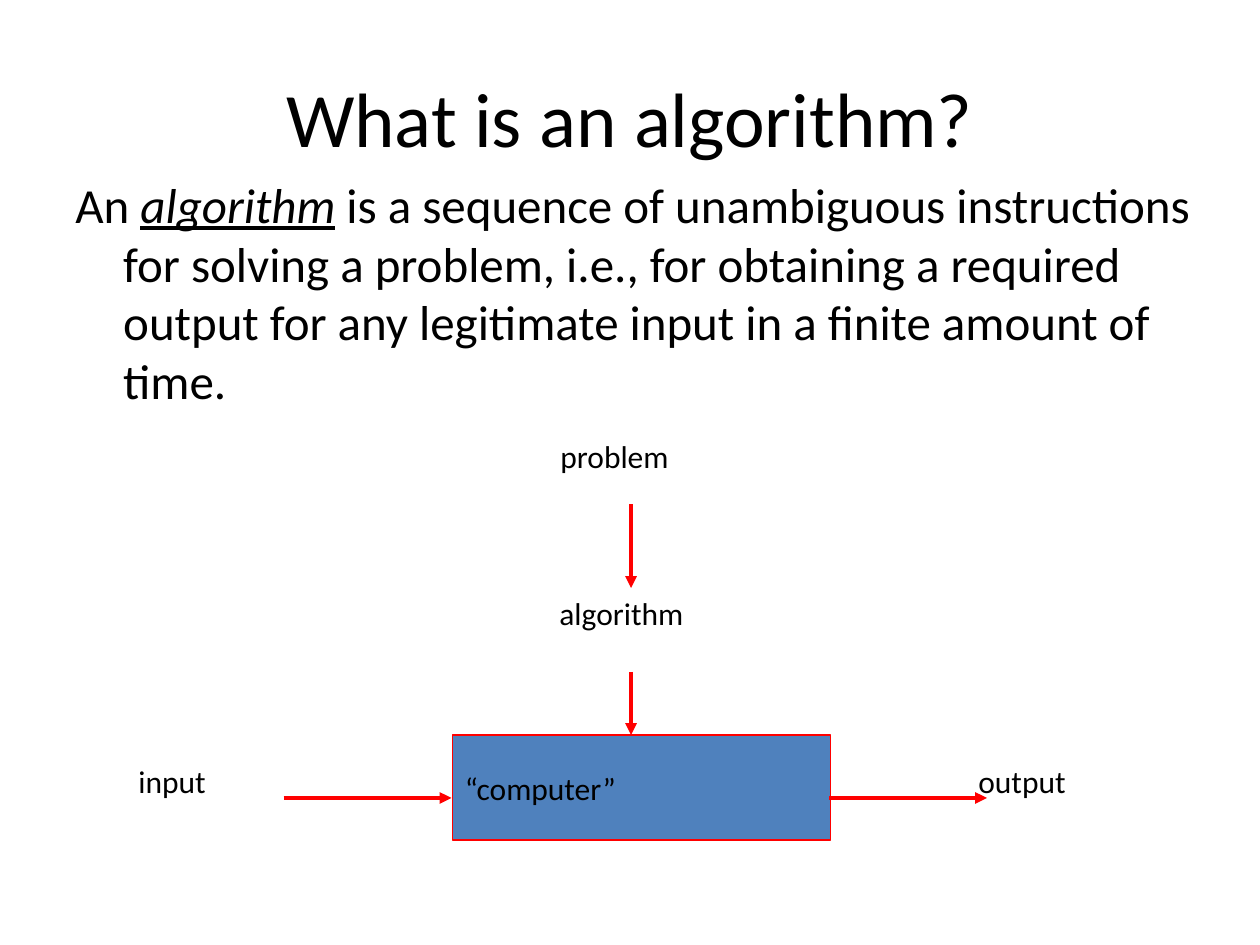
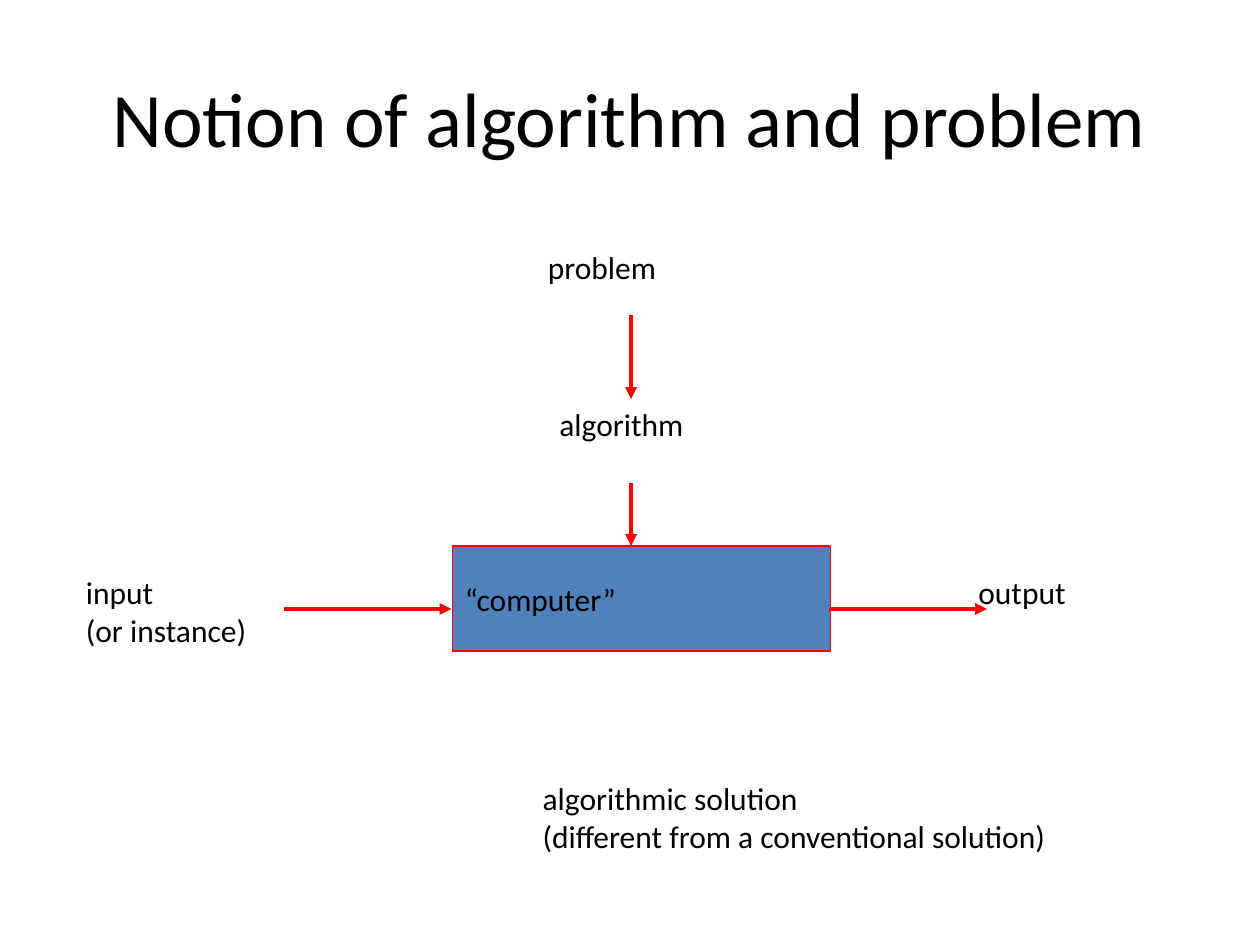
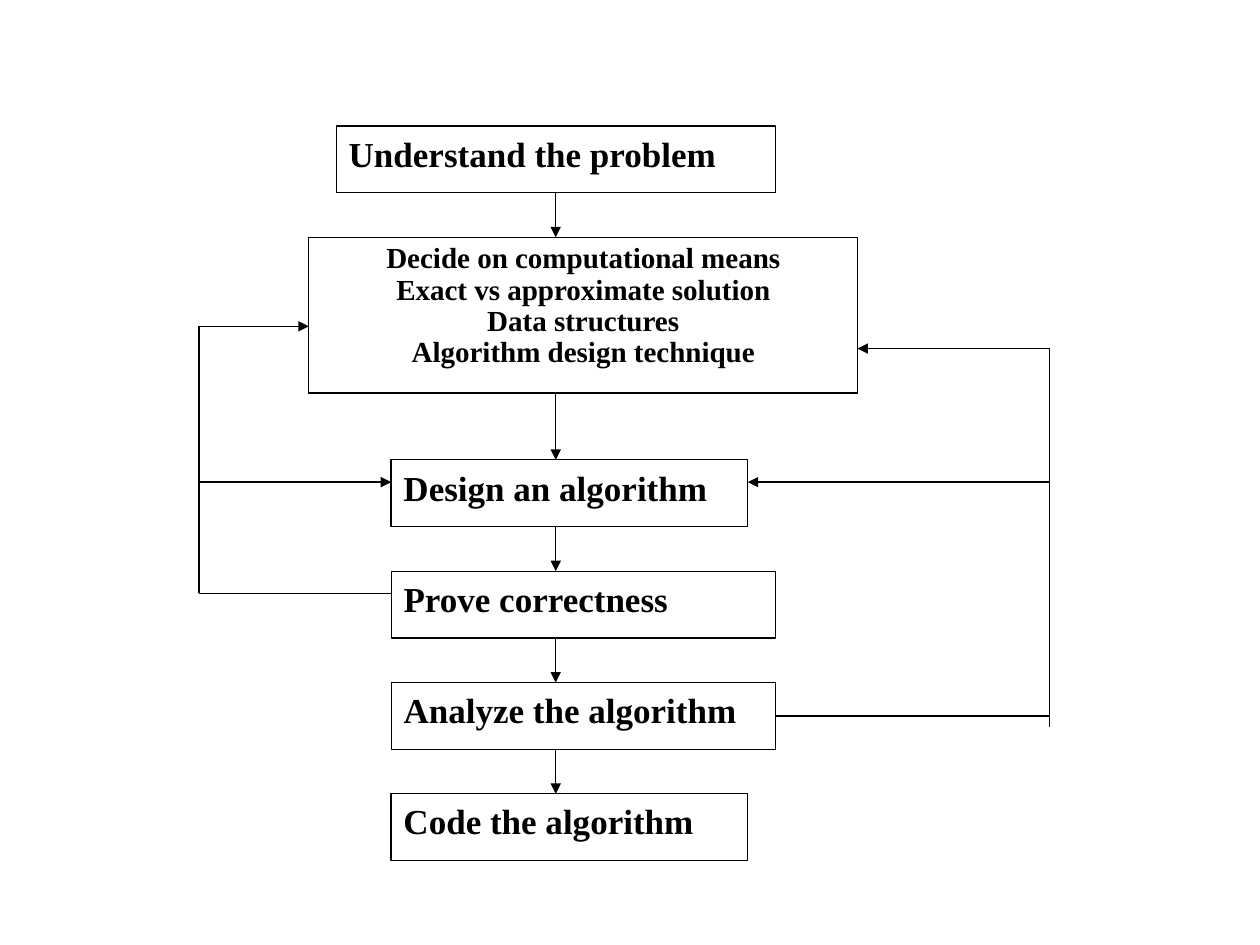
import dataclasses

import lxml.etree
import pptx
import pptx.dml.color
import pptx.enum.shapes
import pptx.enum.text
import pptx.oxml.ns
import pptx.util

Inches = pptx.util.Inches
Pt = pptx.util.Pt
Color = pptx.dml.color.RGBColor.from_string
Align = pptx.enum.text.PP_ALIGN
Anchor = pptx.enum.text.MSO_ANCHOR
Kind = pptx.enum.shapes.MSO_SHAPE
qn = pptx.oxml.ns.qn


@dataclasses.dataclass(frozen=True)
class Theme:
    ink: str = "000000"
    paper: str = "FFFFFF"
    blue: str = "4F81BD"
    red: str = "FF0000"
    sans: str = "Calibri"
    serif: str = "Times New Roman"
    title: float = 44
    body: float = 28
    label: float = 18
    step: float = 20
    choice: float = 16.6
    thin: float = 0.75
    edge: float = 1
    bold: float = 2.25


theme = Theme()

# A grid is its left, top, column width and row height, in inches.
WIDE, HIGH = 10, 7.5
PAGE = (0, 0, WIDE / 120, HIGH / 90)
FLOW = (1.58, 1, 6.75 / 31, 5.83 / 33)


def put(area, grid, at, lines, size, font=theme.sans, fill=None, edge=None,
        align=Align.LEFT, anchor=Anchor.TOP, bold=None):
    """Place lines of (text, emphasis) runs, in a box if fill is given."""
    left, top, col, row = grid
    x, y, w, h = at
    place = [Inches(v) for v in (left + x * col, top + y * row, w * col, h * row)]
    if fill:
        shape = area.add_shape(Kind.RECTANGLE, *place)
        shape.shadow.inherit = False
        shape.fill.solid()
        shape.fill.fore_color.rgb = Color(fill)
        shape.line.color.rgb = Color(edge[0])
        shape.line.width = Pt(edge[1])
    else:
        shape = area.add_textbox(*place)
    frame = shape.text_frame
    frame.word_wrap = True
    frame.vertical_anchor = anchor
    for i, runs in enumerate(lines):
        para = frame.add_paragraph() if i else frame.paragraphs[0]
        para.alignment = align
        for text, stress in runs:
            run = para.add_run()
            run.text = text
            run.font.size = Pt(size)
            run.font.name = font
            run.font.bold = bold
            run.font.color.rgb = Color(theme.ink)
            if stress:
                run.font.italic = run.font.underline = True
    return shape


def link(area, grid, ends, color, width, arrow=True):
    left, top, col, row = grid
    x1, y1, x2, y2 = ends
    line = area.add_connector(
        pptx.enum.shapes.MSO_CONNECTOR.STRAIGHT,
        Inches(left + x1 * col), Inches(top + y1 * row),
        Inches(left + x2 * col), Inches(top + y2 * row))
    line.line.color.rgb = Color(color)
    line.line.width = Pt(width)
    props = line._element.spPr
    if arrow:
        lxml.etree.SubElement(props.find(qn("a:ln")), qn("a:tailEnd"), type="triangle")
    lxml.etree.SubElement(props, qn("a:effectLst"))
    return line


deck = pptx.Presentation()
deck.slide_width, deck.slide_height = Inches(WIDE), Inches(HIGH)
blank = deck.slide_layouts[6]

# Slides 1 and 2: the same diagram, hung from the top row of its box
models = [
    ("What is an algorithm?", 70, 52.2, 12, ["input"]),
    ("Notion of algorithm and problem", 52, 51, 7, ["input", "(or instance)"]),
]
for title, base, ask, start, given in models:
    area = deck.slides.add_slide(blank).shapes
    put(area, PAGE, (6, 3.6, 108, 15), [[(title, False)]], theme.title,
        align=Align.CENTER, anchor=Anchor.MIDDLE)
    put(area, PAGE, (43.1, base, 36, 10), [[("“computer”", False)]], theme.label,
        fill=theme.blue, edge=(theme.red, theme.edge), anchor=Anchor.MIDDLE)
    labels = [
        (ask, -29, 17, ["problem"]),
        (52.1, -14, 14.4, ["algorithm"]),
        (start, 2, 23, given),
        (92, 2, 15.7, ["output"]),
    ]
    for x, y, w, words in labels:
        put(area, PAGE, (x, base + y, w, 4.8 * len(words)),
            [[(word, False)] for word in words], theme.label)
    for x1, y1, x2, y2 in [(60.1, -22, 60.1, -14), (60.1, -6, 60.1, 0),
                           (27, 6, 43, 6), (79, 6, 94, 6)]:
        link(area, PAGE, (x1, base + y1, x2, base + y2), theme.red, theme.bold)

meaning = put(deck.slides[0].shapes, PAGE, (6, 16, 114, 67), [[
    ("An ", False),
    ("algorithm", True),
    (" is a sequence of unambiguous instructions for solving a problem, i.e., for "
     "obtaining a required output for any legitimate input in a finite amount of time.",
     False),
]], theme.body)
para = meaning.text_frame.paragraphs[0]
para.space_before = Pt(7)
indent = Inches(0.38)
para._p.get_or_add_pPr().set("marL", str(indent))
para._p.get_or_add_pPr().set("indent", str(-indent))

put(deck.slides[1].shapes, PAGE, (50.5, 73.6, 50.5, 8.4),
    [[("algorithmic solution", False)],
     [("(different from a conventional solution)", False)]], theme.label)

# Slide 3: steps of the design process, with loops back on both sides
area = deck.slides.add_slide(blank).shapes.add_group_shape().shapes
steps = [
    (5, 0, 16, 3, ["Understand the problem"]),
    (4, 5, 20, 7, ["Decide on computational means", "Exact vs approximate solution",
                   "Data structures", "Algorithm design technique"]),
    (7, 15, 13, 3, ["Design an algorithm"]),
    (7, 20, 14, 3, ["Prove correctness"]),
    (7, 25, 14, 3, ["Analyze the algorithm"]),
    (7, 30, 13, 3, ["Code the algorithm"]),
]
boxes = []
for x, y, w, h, words in steps:
    many = len(words) > 1
    box = put(area, FLOW, (x, y, w, h), [[(word, False)] for word in words],
              theme.choice if many else theme.step, theme.serif, theme.paper,
              (theme.ink, theme.thin), Align.CENTER if many else Align.LEFT, bold=True)
    if many:
        for para in box.text_frame.paragraphs:
            para.line_spacing = 0.9
    boxes.append(box)

spine = 13
downs = [link(area, FLOW, (spine, top[1] + top[3], spine, low[1]), theme.ink, theme.thin)
         for top, low in zip(steps, steps[1:])]
downs[0].begin_connect(boxes[0], 2)

loops = [
    (21, 26.5, 31, 26.5, False),
    (31, 27, 31, 10, False),
    (31, 10, 24, 10, True),
    (31, 16, 20, 16, True),
    (7, 21, 0, 21, False),
    (0, 21, 0, 9, False),
    (0, 9, 4, 9, True),
    (0, 16, 7, 16, True),
]
backs = [link(area, FLOW, ends, theme.ink, theme.thin, arrow) for *ends, arrow in loops]
backs[0].begin_connect(boxes[4], 3)

deck.save("out.pptx")
